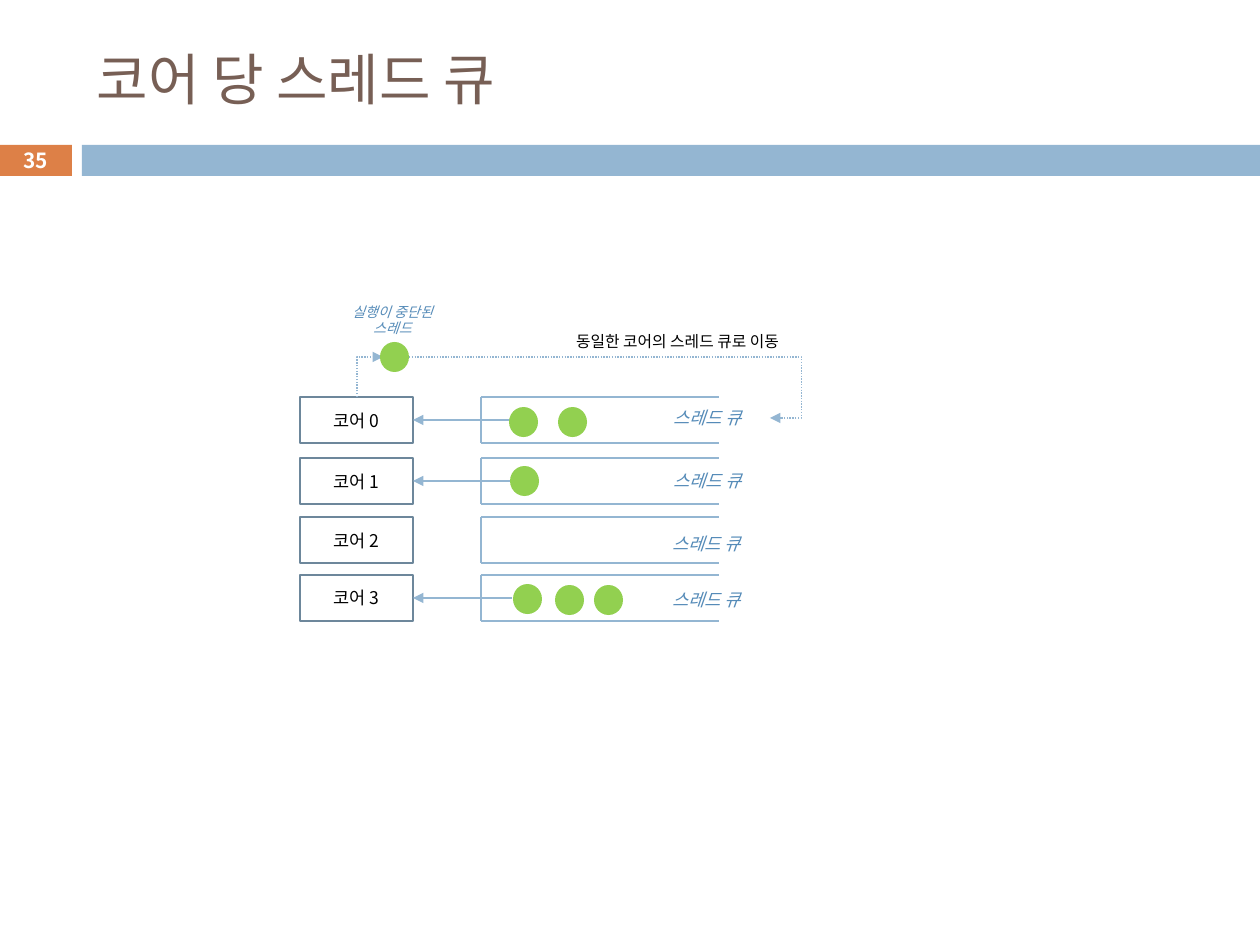
from lxml.etree import SubElement
from pptx import Presentation
from pptx.dml.color import RGBColor
from pptx.enum.dml import MSO_LINE
from pptx.enum.shapes import MSO_CONNECTOR, MSO_SHAPE
from pptx.enum.text import MSO_ANCHOR, MSO_AUTO_SIZE, PP_ALIGN
from pptx.oxml.ns import qn
from pptx.util import Pt

PX = 914400 / 126
FONT = "Noto Sans CJK KR"
HEX = {
    "title": "775F55", "badge": "DD8047", "band": "94B6D2", "core": "6D879B",
    "label": "558BB8", "thread": "92D050", "black": "000000", "white": "FFFFFF",
}
COLOR = {name: RGBColor.from_string(code) for name, code in HEX.items()}


def write(shape, text, size, color, align=PP_ALIGN.LEFT, bold=False, italic=False):
    frame = shape.text_frame
    frame.text = text
    for para in frame.paragraphs:
        para.alignment = align
        for run in para.runs:
            font = run.font
            font.size, font.name = Pt(size), FONT
            font.bold, font.italic = bold, italic
            font.color.rgb = COLOR[color]
            SubElement(run._r.get_or_add_rPr(), qn("a:ea"), typeface=FONT)
    return frame


def link(kind, x1, y1, x2, y2, arrow=None, dash=None):
    wire = slide.shapes.add_connector(kind, *(round(v * PX) for v in (x1, y1, x2, y2)))
    wire.line.color.rgb = COLOR["band"]
    wire.line.width = Pt(0.79)
    if dash:
        wire.line.dash_style = dash
    if arrow:
        SubElement(wire.line._get_or_add_ln(), qn(arrow), type="triangle")
    SubElement(wire._element.spPr, qn("a:effectLst"))
    return wire


deck = Presentation()
deck.slide_width, deck.slide_height = round(1260 * PX), round(945 * PX)
slide = deck.slides.add_slide(deck.slide_layouts[5])
shapes = slide.shapes

for x, w, color in [(-1, 73, "badge"), (82, 1178, "band")]:
    bar = shapes.add_shape(MSO_SHAPE.RECTANGLE, *(round(v * PX) for v in (x, 145, w, 31)))
    bar.shadow.inherit = False
    bar.fill.solid()
    bar.fill.fore_color.rgb = COLOR[color]
    bar.line.fill.background()

title = shapes.title
title.left, title.top, title.width, title.height = (round(v * PX) for v in (84, 32, 1124, 93))
frame = write(title, "코어 당 스레드 큐", 32, "title")
frame.vertical_anchor = MSO_ANCHOR.MIDDLE
frame.auto_size = MSO_AUTO_SIZE.NONE

page = shapes.add_textbox(*(round(v * PX) for v in (-1, 143, 73, 34)))
frame = write(page, "35", 11.9, "white", PP_ALIGN.CENTER, bold=True)
frame.word_wrap = True
frame.vertical_anchor = MSO_ANCHOR.MIDDLE

LEFT, RIGHT, HIGH = 481, 719, 46
rows = [
    (397, 661, 401, [(509, 407), (558, 407)]),
    (458, 661, 464, [(510, 466)]),
    (517, 660, 527, []),
    (575, 660, 583, [(513, 584), (555, 585), (594, 585)]),
]
dots = [(380, 342)]
for i, (top, x, y, threads) in enumerate(rows):
    core = shapes.add_shape(MSO_SHAPE.RECTANGLE, *(round(v * PX) for v in (300, top, 113, HIGH)))
    core.shadow.inherit = False
    core.fill.background()
    core.line.color.rgb = COLOR["core"]
    core.line.width = Pt(0.75)
    frame = write(core, f"코어 {i}", 10, "black", PP_ALIGN.CENTER)
    frame.vertical_anchor = MSO_ANCHOR.MIDDLE
    frame.margin_left = frame.margin_right = frame.margin_top = frame.margin_bottom = 0

    for edge in (top, top + HIGH):
        link(MSO_CONNECTOR.STRAIGHT, LEFT, edge, RIGHT, edge)
    link(MSO_CONNECTOR.STRAIGHT, LEFT, top, LEFT, top + HIGH)

    label = shapes.add_textbox(*(round(v * PX) for v in (x, y, 102, 34)))
    frame = write(label, "스레드 큐", 10, "label", italic=True)
    frame.word_wrap = False
    frame.auto_size = MSO_AUTO_SIZE.SHAPE_TO_FIT_TEXT

    if threads:
        mid = top + HIGH // 2
        feed = link(MSO_CONNECTOR.STRAIGHT, 413, mid, 512, mid, "a:headEnd")
        feed.begin_connect(core, 3)
    dots += threads

rise = link(MSO_CONNECTOR.ELBOW, 390, 390, 350, 364, "a:tailEnd", MSO_LINE.ROUND_DOT)
rise._element.spPr.find(qn("a:prstGeom")).set("prst", "bentConnector2")
rise._element.spPr.find(qn("a:xfrm")).set("rot", "5400000")

back = link(MSO_CONNECTOR.ELBOW, 409, 357, 770, 418, "a:tailEnd", MSO_LINE.ROUND_DOT)
guides = back._element.spPr.find(qn("a:prstGeom")).find(qn("a:avLst"))
SubElement(guides, qn("a:gd"), name="adj1", fmla="val 108700")

move = shapes.add_textbox(*(round(v * PX) for v in (538, 326, 253, 32)))
frame = write(move, "동일한 코어의 스레드 큐로 이동", 9, "black", PP_ALIGN.RIGHT)
frame.word_wrap = True
frame.auto_size = MSO_AUTO_SIZE.SHAPE_TO_FIT_TEXT

halt = shapes.add_textbox(*(round(v * PX) for v in (332, 297, 121, 47)))
frame = write(halt, "실행이 중단된\n스레드", 8, "label", PP_ALIGN.CENTER, italic=True)
frame.word_wrap = False
frame.auto_size = MSO_AUTO_SIZE.SHAPE_TO_FIT_TEXT

for x, y in dots:
    dot = shapes.add_shape(MSO_SHAPE.OVAL, *(round(v * PX) for v in (x, y, 29, 30)))
    dot.shadow.inherit = False
    dot.fill.solid()
    dot.fill.fore_color.rgb = COLOR["thread"]
    dot.line.fill.background()

deck.save("out.pptx")
